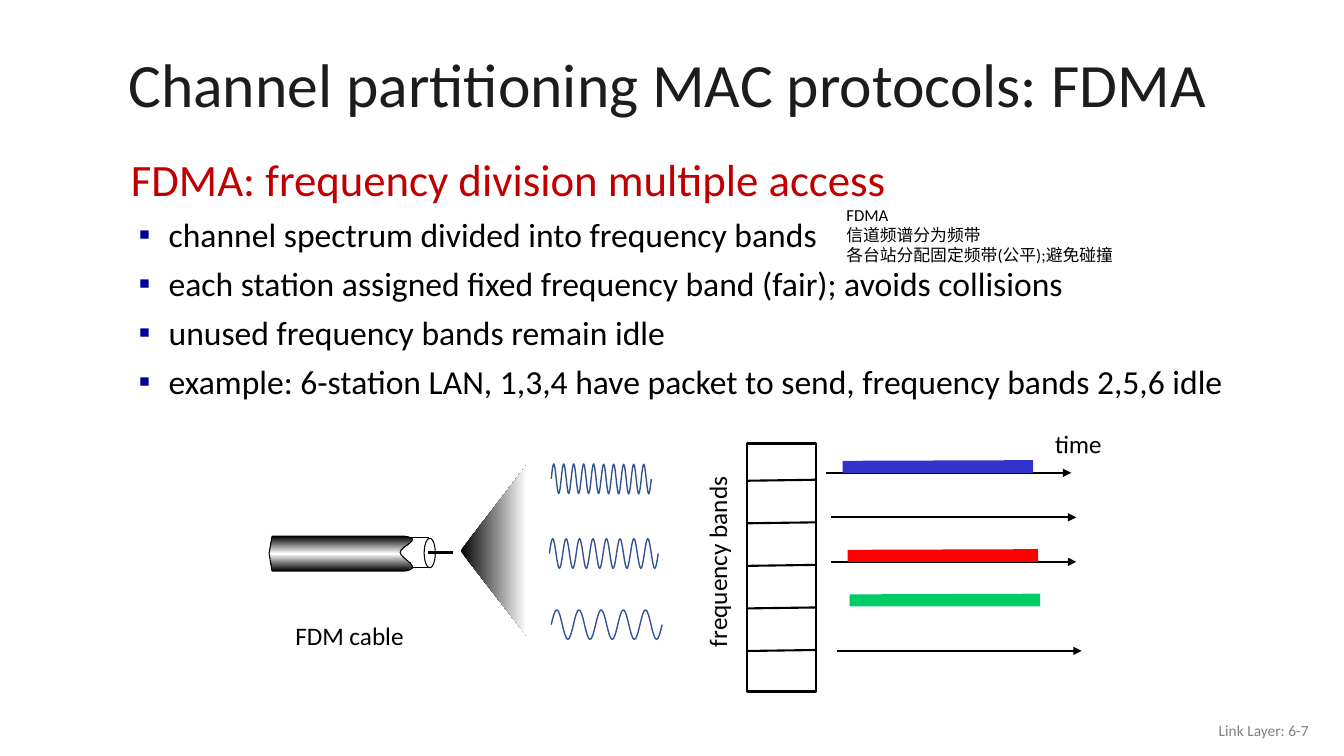
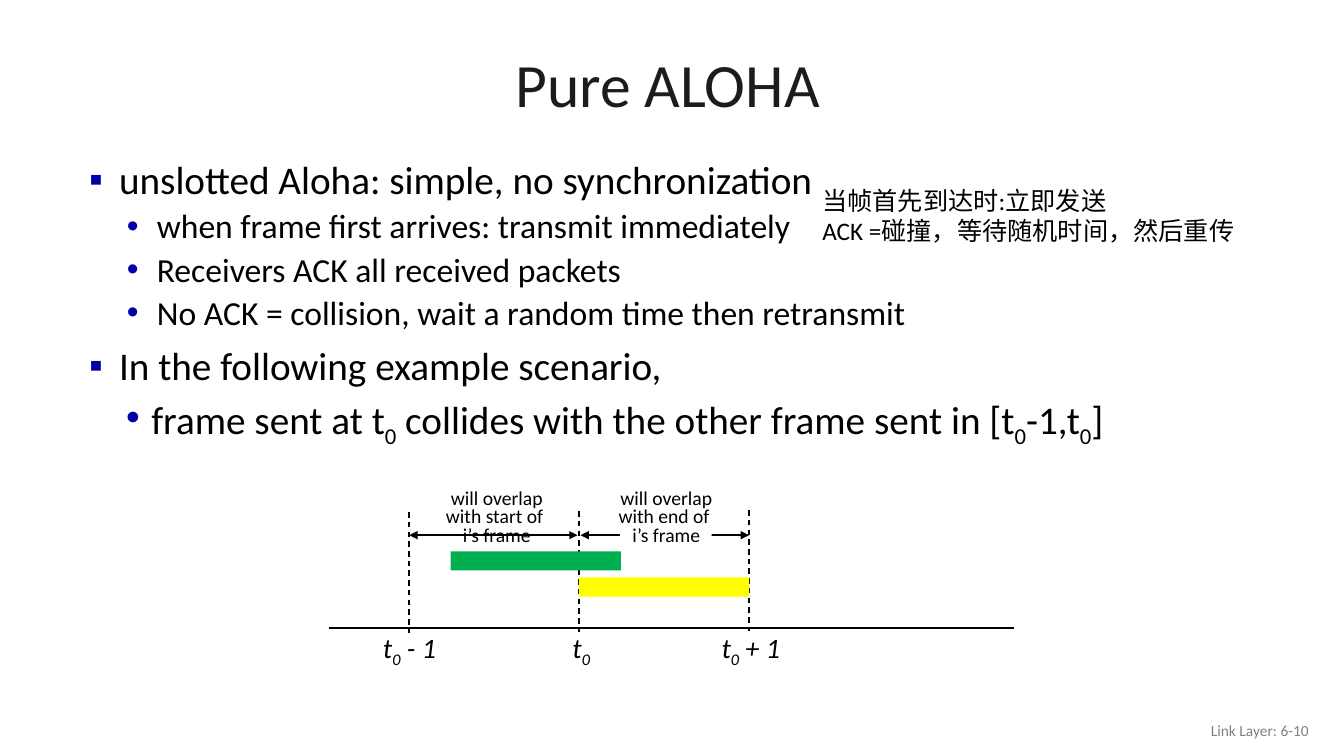
from dataclasses import dataclass

from lxml.etree import SubElement
from pptx import Presentation
from pptx.dml.color import RGBColor
from pptx.enum.dml import MSO_LINE
from pptx.enum.shapes import MSO_CONNECTOR, MSO_SHAPE
from pptx.enum.text import MSO_ANCHOR, PP_ALIGN
from pptx.oxml.ns import qn
from pptx.util import Pt

BLACK, WHITE = "000000", "FFFFFF"
TITLE, FOOTER, HEADING, WAVE = "1C1C1C", "808080", "C00000", "325491"
BLUE, RED, GREEN = "3333CC", "FF0000", "00CC66"
FRAME_GREEN, FRAME_YELLOW = "00B050", "FFFF00"


@dataclass
class Level:
    size: float
    left: float
    hang: float
    before: float
    spacing: float = 1.0
    color: str = BLACK
    bullet: str = ""
    bullet_color: str = BLACK


HEAD = Level(32, 27, 27, 6, 0.85, HEADING)
ITEM = Level(24, 27, 21.5, 6, 1.0, BLACK, "▪", "000099")
POINT = Level(28, 32, 21.5, 10, 0.9, BLACK, "▪", "0000A3")
SUBPOINT = Level(24, 59, 21.5, 5, 0.9, BLACK, "•", "0000A8")
BIG_SUBPOINT = Level(28, 55, 18, 5, 0.9, BLACK, "•", "0000A8")


def rgb(color):
    return RGBColor.from_string(color)


class Deck:
    font = "Calibri"

    def __init__(self):
        self.prs = Presentation()
        self.prs.slide_width, self.prs.slide_height = Pt(960), Pt(540)
        self.s = None

    def slide(self, title, footer):
        self.s = self.prs.slides.add_slide(self.prs.slide_layouts[6])
        self.text(63, 27, 828, 71, [title], 44, TITLE, PP_ALIGN.CENTER,
                  MSO_ANCHOR.MIDDLE, spacing=0.9)
        self.text(726, 507.5, 216, 29, [footer], 11, FOOTER, PP_ALIGN.RIGHT,
                  MSO_ANCHOR.MIDDLE)

    def fill_paragraph(self, p, text, size, color, italic=False):
        """Writes text into p; parts between tildes become subscripts."""
        for i, part in enumerate(text.split("~")):
            if not part:
                continue
            r = p.add_run()
            r.text = part
            r.font.name, r.font.size = self.font, Pt(size)
            r.font.color.rgb = rgb(color)
            if italic:
                r.font.italic = True
            if i % 2:
                r._r.get_or_add_rPr().set("baseline", "-25000")

    def box(self, x, y, w, h, wrap=True):
        sp = self.s.shapes.add_textbox(Pt(x), Pt(y), Pt(w), Pt(h))
        sp.text_frame.word_wrap = wrap
        return sp

    def text(self, x, y, w, h, lines, size, color=BLACK, align=PP_ALIGN.LEFT,
             anchor=MSO_ANCHOR.TOP, wrap=True, spacing=None, italic=False, rotation=0):
        sp = self.box(x, y, w, h, wrap)
        sp.rotation = rotation
        tf = sp.text_frame
        tf.vertical_anchor = anchor
        for i, line in enumerate(lines):
            p = tf.add_paragraph() if i else tf.paragraphs[0]
            p.alignment = align
            if spacing:
                p.line_spacing = spacing
            self.fill_paragraph(p, line, size, color, italic)

    def outline(self, x, y, w, h, items):
        """A body text of (level, text) pairs."""
        tf = self.box(x, y, w, h).text_frame
        for i, (level, line) in enumerate(items):
            p = tf.add_paragraph() if i else tf.paragraphs[0]
            p.line_spacing, p.space_before = level.spacing, Pt(level.before)
            pPr = p._p.get_or_add_pPr()
            pPr.set("marL", str(Pt(level.left)))
            pPr.set("indent", str(-Pt(level.hang)))
            if level.bullet:
                clr = SubElement(pPr, qn("a:buClr"))
                SubElement(clr, qn("a:srgbClr"), val=level.bullet_color)
                SubElement(pPr, qn("a:buFont"), typeface="Arial")
                SubElement(pPr, qn("a:buChar"), char=level.bullet)
            self.fill_paragraph(p, line, level.size, level.color)

    def paint(self, sp, fill, line, width):
        """Fill is None, a colour, or (angle, colours) for an even gradient."""
        sp.shadow.inherit = False
        if fill is None:
            sp.fill.background()
        elif isinstance(fill, str):
            sp.fill.solid()
            sp.fill.fore_color.rgb = rgb(fill)
        else:
            angle, colors = fill
            sp.fill.gradient()
            sp.fill.gradient_angle = angle
            stops = sp._element.spPr.find(qn("a:gradFill")).find(qn("a:gsLst"))
            for stop in list(stops):
                stops.remove(stop)
            for i, color in enumerate(colors):
                pos = str(100000 * i // (len(colors) - 1))
                SubElement(SubElement(stops, qn("a:gs"), pos=pos),
                           qn("a:srgbClr"), val=color)
        if line:
            sp.line.color.rgb = rgb(line)
            sp.line.width = Pt(width)
        else:
            sp.line.fill.background()

    def shape(self, x, y, w, h, fill, line=None, width=0.75, kind=MSO_SHAPE.RECTANGLE):
        sp = self.s.shapes.add_shape(kind, Pt(x), Pt(y), Pt(w), Pt(h))
        self.paint(sp, fill, line, width)

    def freeform(self, start, segments, fill=None, line=None, width=0.75, close=True):
        """Each segment is a list of points: one for a line, three for a curve."""
        builder = self.s.shapes.build_freeform(Pt(start[0]), Pt(start[1]))
        builder.add_line_segments([(Pt(x), Pt(y)) for seg in segments for x, y in seg],
                                  close=close)
        sp = builder.convert_to_shape()
        steps = iter(list(sp._element.iter(qn("a:lnTo"))))
        for seg in segments:
            first, *rest = [next(steps) for _ in seg]
            if rest:
                first.tag = qn("a:cubicBezTo")
                for step in rest:
                    first.append(step[0])
                    step.getparent().remove(step)
        self.paint(sp, fill, line, width)

    def line(self, x1, y1, x2, y2, width=1.0, dash=False, ends=()):
        """A straight line; ends may hold headEnd and tailEnd for arrowheads."""
        c = self.s.shapes.add_connector(MSO_CONNECTOR.STRAIGHT,
                                        Pt(x1), Pt(y1), Pt(x2), Pt(y2))
        c.line.color.rgb = rgb(BLACK)
        c.line.width = Pt(width)
        if dash:
            c.line.dash_style = MSO_LINE.DASH
        spPr = c._element.spPr
        for end in ends:
            SubElement(spPr.find(qn("a:ln")), qn("a:" + end), type="triangle")
        SubElement(spPr, qn("a:effectLst"))

    def wave(self, x, y, w, cycles, height=21.2):
        """A sine line that starts upwards from its middle height."""
        half = w / cycles / 2
        end = x + w
        top, bottom = y - height / 2, y + height / 2
        at, level = x + half / 2, top
        segments = [[(x + half * 0.17, y - height * 0.26), (at - half * 0.18, top),
                     (at, top)]]
        for i in range(2 * cycles - 1):
            after = bottom if i % 2 == 0 else top
            segments.append([(at + half * 0.36, level), (at + half * 0.64, after),
                             (at + half, after)])
            at, level = at + half, after
        segments.append([(at + half * 0.18, bottom),
                         (end - half * 0.17, y + height * 0.26), (end, y)])
        self.freeform((x, y), segments, line=WAVE, width=1, close=False)


def band_chart(d):
    left, width = 533.3, 49.5
    d.shape(left, 316.8, width, 177.2, WHITE, BLACK, 1.5)
    for i in range(5):
        y = 343 + 30.4 * i
        d.line(left, y + 0.4, left + width, y - 0.3, 1.5)

    bands = [(590.2, True, BLUE), (593.8, True, None), (593.8, True, RED),
             (595.2, False, GREEN), (597.6, True, None)]
    for i, (x, has_axis, color) in enumerate(bands):
        y = 337.7 + 31.8 * i
        if has_axis:
            d.line(x, y, x + 175, y, 1.5, ends=["tailEnd"])
        if color:
            start, end = x + 11.7, x + 147.8
            d.freeform((start, y), [[(start, y - 8.5)], [(end, y - 9)], [(end, y)]],
                       color)
    d.text(443.5, 386, 137.5, 29, ["frequency bands"], 18, wrap=False, rotation=270)
    d.text(746.5, 302.5, 48, 29, ["time"], 18, wrap=False, rotation=1.1)


def cable(d):
    d.freeform((376, 332.5), [[(329, 393.5)], [(376, 454)]], (0, [BLACK, WHITE]))
    d.shape(285, 384, 21, 21.5, WHITE, BLACK)
    d.freeform((194.4, 383), [
        [(192.2, 395.3)], [(194.4, 408)], [(288.7, 408)],
        [(303.8, 406), (285.8, 399), (285.8, 394.6)],
        [(285.8, 390), (303.8, 385), (288.7, 383)],
    ], (90, [BLACK, WHITE, BLACK]), BLACK)
    d.shape(303, 384.5, 8, 21, WHITE, BLACK, kind=MSO_SHAPE.OVAL)
    d.line(306, 394.6, 323.3, 394.6, 2.25)
    d.text(203.8, 439.2, 93, 29, ["FDM cable"], 18, wrap=False)
    for x, y, w, cycles in [(393.8, 446.2, 79.2, 5), (393.8, 342, 35.6, 5),
                            (429.4, 342.2, 35.8, 5), (392.4, 395.4, 48, 5),
                            (440.4, 395.4, 29.8, 3)]:
        d.wave(x, y, w, cycles)


def fdma_slide(d):
    d.slide("Channel partitioning MAC protocols: FDMA", "Link Layer: 6-7")
    d.outline(86.4, 110.8, 823.6, 188.6, [
        (HEAD, "FDMA: frequency division multiple access"),
        (ITEM, "channel spectrum divided into frequency bands"),
        (ITEM, "each station assigned fixed frequency band (fair); avoids collisions"),
        (ITEM, "unused frequency bands remain idle"),
        (ITEM, "example: 6-station LAN, 1,3,4 have packet to send, "
               "frequency bands 2,5,6 idle"),
    ])
    band_chart(d)
    cable(d)
    d.text(597.5, 142.6, 219, 51,
           ["FDMA", "信道频谱分为频带", "各台站分配固定频带(公平);避免碰撞"], 12)


def collision_timeline(d):
    frame = 121.5
    times = [292.3 + 121.3 * i for i in range(3)]
    for start in (292.3, 414.7):
        d.line(start, 382.3, start + 120.3, 382.3, ends=["headEnd", "tailEnd"])
    d.shape(442.8, 380, 65.5, 4.5, WHITE)
    d.line(234.7, 448.5, 724.3, 448.5)
    for i, x in enumerate(times):
        top = 365.8 - 0.7 * i
        d.line(x, top, x, top + 86.4, dash=True)
    for x, w, label in [(508.3, 57.6, "t~0~ + 1"), (266.4, 54, "t~0~ - 1"),
                        (401.8, 28, "t~0~")]:
        d.text(x, 447, w, 31.7, [label], 20, wrap=False, italic=True)
    d.shape(322, 393.8, frame, 13.7, FRAME_GREEN)
    d.shape(times[1], 412.5, frame, 13.7, FRAME_YELLOW)
    for x, w, part in [(434.2, 83.5, "with end of "), (311, 87.8, "with start of ")]:
        d.text(x, 346.5, w, 48, ["will overlap", part, "i’s frame"], 14,
               align=PP_ALIGN.CENTER, wrap=False, spacing=0.8)


def aloha_slide(d):
    d.slide("Pure ALOHA", "Link Layer: 6-10")
    d.outline(46, 111, 828, 243.4, [
        (POINT, "unslotted Aloha: simple, no synchronization"),
        (SUBPOINT, "when frame first arrives: transmit immediately"),
        (SUBPOINT, "Receivers ACK all received packets"),
        (SUBPOINT, "No ACK = collision, wait a random time then retransmit"),
        (POINT, "In the following example scenario,"),
        (BIG_SUBPOINT, "frame sent at t~0~ collides with the other frame "
                       "sent in [t~0~-1,t~0~]"),
    ])
    collision_timeline(d)
    d.text(580.3, 128.8, 345.6, 51,
           ["当帧首先到达时:立即发送", "ACK =碰撞，等待随机时间，然后重传"], 18)


def main():
    d = Deck()
    fdma_slide(d)
    aloha_slide(d)
    d.prs.save("out.pptx")


if __name__ == "__main__":
    main()
